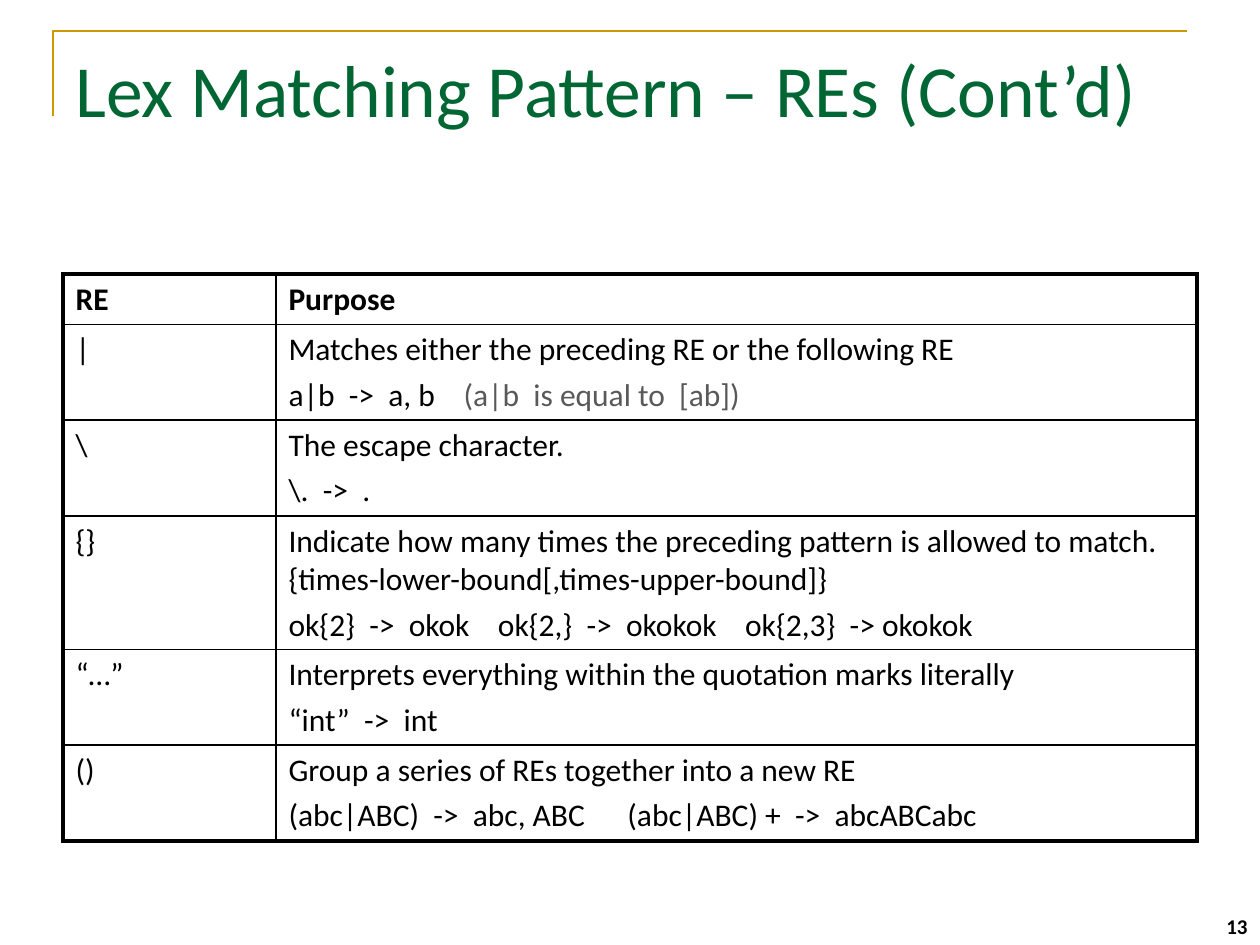
from lxml import etree
from pptx import Presentation
from pptx.dml.color import RGBColor
from pptx.enum.text import MSO_ANCHOR, PP_ALIGN
from pptx.oxml.ns import qn
from pptx.util import Inches, Pt

TOP, BOTTOM = MSO_ANCHOR.TOP, MSO_ANCHOR.BOTTOM
LEFT, RIGHT = PP_ALIGN.LEFT, PP_ALIGN.RIGHT
WIDE, HIGH = 10, 7.5
COLORS = {"title": "006633", "text": "000000", "note": "595959", "frame": "CC9900"}
ROWS = [
    ("RE", ["Purpose"]),
    ("|", ["Matches either the preceding RE or the following RE",
           ("a|b  ->  a, b    ", "(a|b  is equal to  [ab])")]),
    ("\\", ["The escape character.", "\\.  ->  ."]),
    ("{}", ["Indicate how many times the preceding pattern is allowed to match. "
            "{times-lower-bound[,times-upper-bound]}",
            "ok{2}  ->  okok    ok{2,}  ->  okokok    ok{2,3}  -> okokok"]),
    ("“…”", ["Interprets everything within the quotation marks literally",
             "“int”  ->  int"]),
    ("()", ["Group a series of REs together into a new RE",
            "(abc|ABC)  ->  abc, ABC      (abc|ABC) +  ->  abcABCabc"]),
]


class Deck:
    """Holds the style and the current slide; lengths are shares of its size."""

    font = "Calibri"

    def __init__(self):
        self.file = Presentation()
        self.file.slide_width = Inches(WIDE)
        self.file.slide_height = Inches(HIGH)
        self.slide = self.file.slides.add_slide(self.file.slide_layouts[5])

    def place(self, x, y, w, h):
        return [Inches(WIDE * x), Inches(HIGH * y), Inches(WIDE * w), Inches(HIGH * h)]

    def style(self, run, size, color="text", bold=False):
        run.font.name = self.font
        run.font.size = Pt(size)
        run.font.bold = bold
        run.font.color.rgb = RGBColor.from_string(COLORS[color])

    def label(self, shape, text, anchor, align, *look):
        frame = shape.text_frame
        frame.word_wrap = True
        frame.vertical_anchor = anchor
        frame.text = text
        line = frame.paragraphs[0]
        line.alignment = align
        self.style(line.runs[0], *look)

    def title(self, text, *box):
        shape = self.slide.shapes.title
        shape.left, shape.top, shape.width, shape.height = self.place(*box)
        self.label(shape, text, TOP, LEFT, 42, "title")

    def number(self, text, *box):
        shape = self.slide.shapes.add_textbox(*self.place(*box))
        self.label(shape, text, BOTTOM, RIGHT, 12, "text", True)

    def corner(self, *box):
        left, top, wide, high = self.place(*box)
        pen = self.slide.shapes.build_freeform(left, top + high)
        pen.add_line_segments([(left, top), (left + wide, top)], close=False)
        shape = pen.convert_to_shape()
        shape.shadow.inherit = False
        shape.fill.background()
        shape.line.color.rgb = RGBColor.from_string(COLORS["frame"])
        shape.line.width = Pt(1.5)

    def border(self, cell, sides):
        props = cell._tc.get_or_add_tcPr()
        for spot, (side, thick) in enumerate(sides):
            line = etree.Element(qn("a:ln" + side), w=str(Pt(2.25 if thick else 1)))
            paint = etree.SubElement(line, qn("a:solidFill"))
            etree.SubElement(paint, qn("a:srgbClr"), val=COLORS["text"])
            props.insert(spot, line)

    def entry(self, cell, lines, bold):
        frame = cell.text_frame
        for spot, line in enumerate(lines):
            para = frame.add_paragraph() if spot else frame.paragraphs[0]
            para.space_before = Pt(4)
            parts = (line,) if isinstance(line, str) else line
            for part, color in zip(parts, ("text", "note")):
                run = para.add_run()
                run.text = part
                self.style(run, 18, color, bold)

    def table(self, rows, cols, highs, *box):
        shape = self.slide.shapes.add_table(len(rows), len(cols), *self.place(*box))
        grid = shape.table
        grid.first_row = grid.horz_banding = False
        for col, width in zip(grid.columns, cols):
            col.width = Inches(width)
        for r, (mark, lines) in enumerate(rows):
            grid.rows[r].height = Inches(highs[r])
            for c, text in enumerate(([mark], lines)):
                cell = grid.cell(r, c)
                cell.fill.background()
                self.entry(cell, text, r == 0)
                self.border(cell, [("L", c == 0), ("R", c == len(cols) - 1),
                                   ("T", r == 0), ("B", r == len(rows) - 1)])


deck = Deck()
deck.corner(0.042, 0.033, 0.9, 0.09)
deck.number("13", 0.767, 0.933, 0.233, 0.067)
deck.title("Lex Matching Pattern – REs (Cont’d)", 0.05, 0.04, 0.9, 0.167)
deck.table(ROWS, [1.69, 7.31], [0.4, 0.76, 0.76, 1.06, 0.76, 0.76],
           0.05, 0.29, 0.9, 0.6)
deck.file.save("out.pptx")
